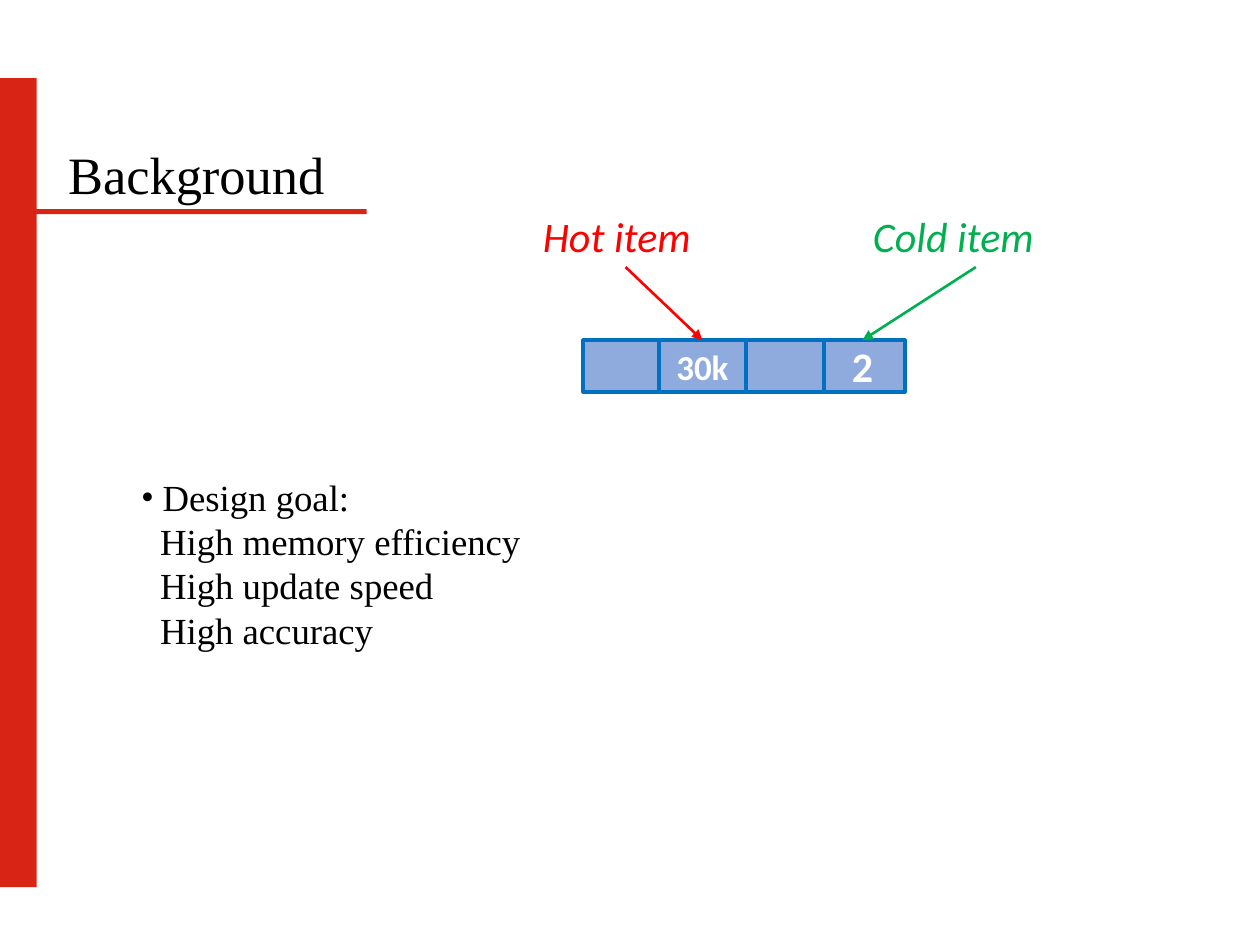
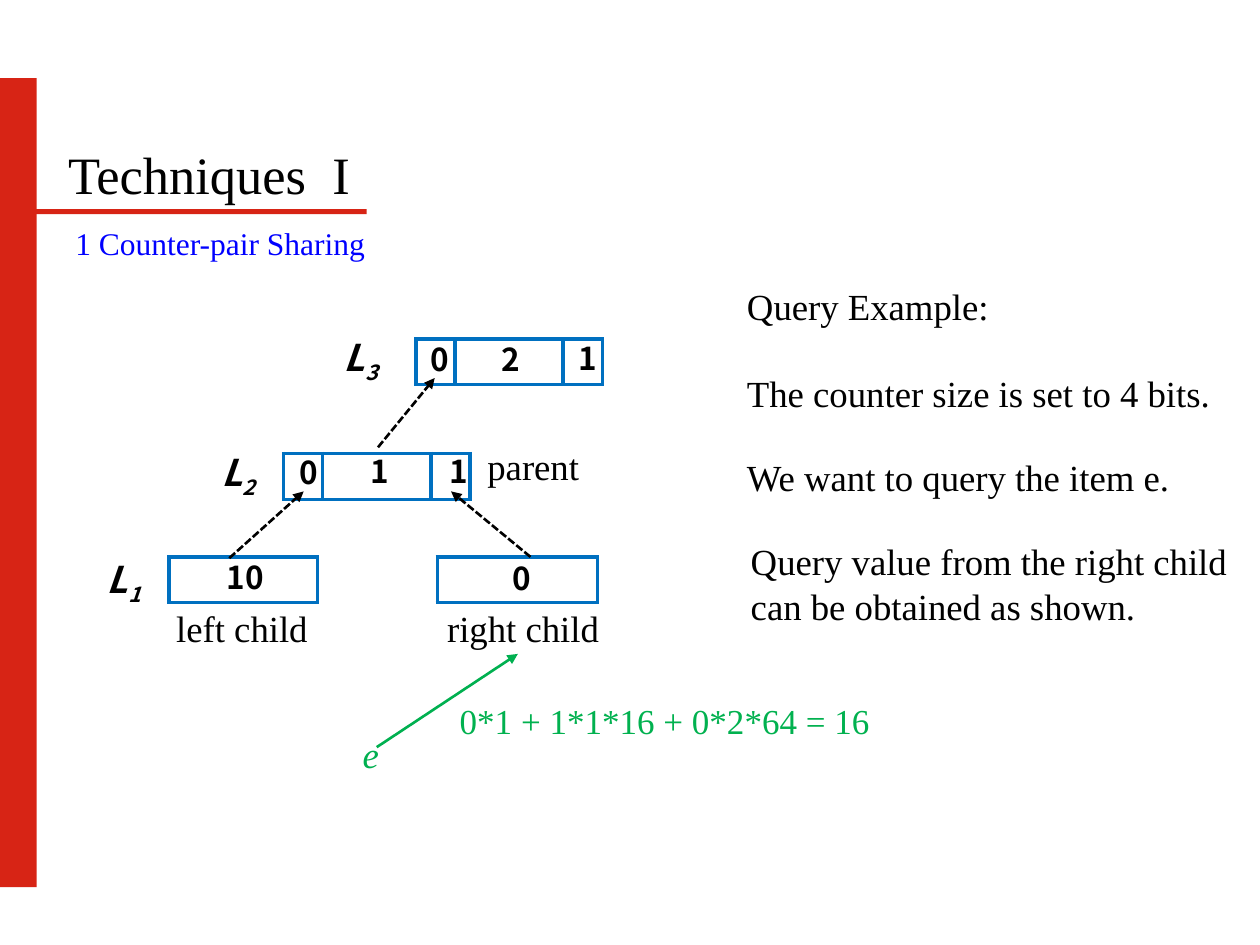
from dataclasses import dataclass
from itertools import accumulate
from lxml.etree import SubElement
from pptx import Presentation
from pptx.dml.color import RGBColor
from pptx.enum.dml import MSO_LINE
from pptx.enum.shapes import MSO_CONNECTOR, MSO_SHAPE
from pptx.enum.text import MSO_ANCHOR, MSO_AUTO_SIZE, PP_ALIGN
from pptx.oxml.ns import qn
from pptx.util import Inches, Pt

RED = RGBColor(0xD7, 0x24, 0x15)
HOT = RGBColor(0xFF, 0x00, 0x00)
GREEN = RGBColor(0x00, 0xB0, 0x50)
LIME = RGBColor(0x01, 0xB1, 0x4F)
BLUE = RGBColor(0x00, 0x70, 0xC0)
LINK = RGBColor(0x00, 0x00, 0xFF)
PALE = RGBColor(0x8F, 0xAA, 0xDC)
BLACK = RGBColor(0x00, 0x00, 0x00)
WHITE = RGBColor(0xFF, 0xFF, 0xFF)

SERIF = "Times New Roman"
SANS = "Calibri"
NOTO = "Noto Sans CJK SC"


@dataclass(frozen=True)
class Style:
    face: str
    size: float
    color: RGBColor = BLACK
    bold: bool = False
    italic: bool = False


@dataclass(frozen=True)
class Label:
    text: str
    left: float
    top: float
    width: float
    height: float = 0.45


@dataclass(frozen=True)
class Slot:
    left: float
    width: float
    text: str = ""
    size: float = 24


@dataclass(frozen=True)
class Row:
    left: float
    top: float
    widths: tuple


@dataclass(frozen=True)
class Arrow:
    start: tuple
    end: tuple


HEAD = Style(SERIF, 30)
PLAIN = Style(SERIF, 21)
DIGIT = Style(NOTO, 18, bold=True)
LEVEL = Style(NOTO, 21, bold=True, italic=True)

GOALS = ("Design goal:", "High memory efficiency", "High update speed", "High accuracy")
SLOTS = (Slot(4.63, 0.6), Slot(5.23, 0.69, "30k", 20), Slot(5.87, 0.67), Slot(6.51, 0.67, "2"))

PAIR = (0.31, 0.86, 0.31)
ROWS = (
    Row(3.3, 2.69, PAIR),
    Row(2.25, 3.6, PAIR),
    Row(1.34, 4.42, (1.18,)),
    Row(3.47, 4.42, (1.27,)),
)
DIGITS = (
    Label("0", 3.32, 2.65, 0.32, 0.4),
    Label("2", 3.88, 2.65, 0.32, 0.4),
    Label("1", 4.49, 2.64, 0.32, 0.4),
    Label("0", 2.28, 3.55, 0.32, 0.4),
    Label("1", 2.84, 3.54, 0.32, 0.4),
    Label("1", 3.47, 3.54, 0.32, 0.4),
    Label("10", 1.7, 4.38, 0.56, 0.4),
    Label("0", 3.97, 4.39, 0.32, 0.4),
)
LEVELS = (
    Label("3", 2.63, 2.61, 0.71),
    Label("2", 1.66, 3.52, 0.58),
    Label("1", 0.75, 4.37, 0.51),
)
NOTES = (
    Label("parent", 3.77, 3.47, 1.03),
    Label("left child", 1.3, 4.76, 1.47),
    Label("right child", 3.45, 4.76, 1.53),
    Label("Query Example:\nThe counter size is set to 4 bits.", 5.83, 2.2, 3.91, 1.16),
    Label("We want to query the item e.", 5.83, 3.56, 3.76),
    Label("Query value from the right child can be obtained as shown.", 5.86, 4.23, 4.21, 0.81),
)
LINKS = (
    Arrow((1.82, 4.43), (2.41, 3.9)),
    Arrow((4.21, 4.42), (3.58, 3.9)),
    Arrow((3, 3.55), (3.45, 3)),
)


def paint(para, style: Style) -> None:
    font = para.font
    font.name, font.size = style.face, Pt(style.size)
    font.bold, font.italic = style.bold, style.italic
    font.color.rgb = style.color


def place(shape, left: float, top: float, width: float, height: float) -> None:
    shape.left, shape.top = Inches(left), Inches(top)
    shape.width, shape.height = Inches(width), Inches(height)


def rect(slide, left: float, top: float, width: float, height: float, fill: RGBColor):
    shape = slide.shapes.add_shape(
        MSO_SHAPE.RECTANGLE, Inches(left), Inches(top), Inches(width), Inches(height))
    shape.shadow.inherit = False
    shape.fill.solid()
    shape.fill.fore_color.rgb = fill
    shape.line.fill.background()
    return shape


def write(slide, label: Label, style: Style, gap: float = 0):
    box = slide.shapes.add_textbox(
        Inches(label.left), Inches(label.top), Inches(label.width), Inches(label.height))
    frame = box.text_frame
    frame.word_wrap = True
    frame.text = label.text
    for para in frame.paragraphs:
        paint(para, style)
    for para in frame.paragraphs[1:]:
        para.space_before = Pt(gap)
    return box


def level(slide, label: Label) -> None:
    para = write(slide, label, LEVEL).text_frame.paragraphs[0]
    para.text = "L"
    run = para.add_run()
    run.text = label.text
    run.font._element.set("baseline", "-25000")


def arrow(slide, start: tuple, end: tuple, color: RGBColor, dash: bool = False):
    line = slide.shapes.add_connector(
        MSO_CONNECTOR.STRAIGHT, *(Inches(v) for v in (*start, *end)))
    line.line.color.rgb = color
    line.line.width = Pt(1.5)
    if dash:
        line.line.dash_style = MSO_LINE.SQUARE_DOT
    SubElement(line.line._get_or_add_ln(), qn("a:tailEnd"), type="triangle")
    SubElement(line._element.spPr, qn("a:effectLst"))
    return line


def edge(cell) -> None:
    props = cell._tc.get_or_add_tcPr()
    for side in ("lnL", "lnR", "lnT", "lnB"):
        line = SubElement(props, qn(f"a:{side}"), w=str(Pt(2.25)))
        fill = SubElement(line, qn("a:solidFill"))
        SubElement(fill, qn("a:srgbClr"), val=str(BLUE))


def grid(slide, row: Row) -> None:
    lefts = accumulate(row.widths[:-1], initial=row.left)
    for left, width in zip(lefts, row.widths):
        table = slide.shapes.add_table(
            1, 1, Inches(left), Inches(row.top), Inches(width), Inches(0.31)).table
        table.first_row = table.horz_banding = False
        cell = table.cell(0, 0)
        cell.margin_top = cell.margin_bottom = 0
        paint(cell.text_frame.paragraphs[0], DIGIT)
        edge(cell)
        cell.fill.solid()
        cell.fill.fore_color.rgb = WHITE


def start(deck, layout: int, title: str, width: float):
    slide = deck.slides.add_slide(deck.slide_layouts[layout])
    rect(slide, 0, 0.62, 0.29, 6.42, RED)
    rect(slide, 0, 1.66, 2.91, 0.04, RED)
    head = slide.shapes.title
    place(head, 0.44, 1.08, width, 0.61)
    frame = head.text_frame
    frame.text = title
    frame.auto_size = MSO_AUTO_SIZE.NONE
    frame.vertical_anchor = MSO_ANCHOR.TOP
    para = frame.paragraphs[0]
    para.alignment = PP_ALIGN.LEFT
    paint(para, HEAD)
    return slide


def goals(slide) -> None:
    body = slide.placeholders[1]
    place(body, 1.02, 3.72, 6.18, 1.51)
    frame = body.text_frame
    frame.text = "\n".join(GOALS)
    frame.auto_size = MSO_AUTO_SIZE.NONE
    for num, para in enumerate(frame.paragraphs):
        paint(para, PLAIN)
        para.space_before = Pt(0)
        props = para._p.get_or_add_pPr()
        indent = Inches(0.15 if num else 0.17)
        props.set("marL", str(indent))
        props.set("indent", str(0 if num else -indent))
        if num:
            SubElement(props, qn("a:buNone"))
        else:
            SubElement(props, qn("a:buFont"), typeface=SERIF)
            SubElement(props, qn("a:buChar"), char="•")


def intro(deck) -> None:
    slide = start(deck, 1, "Background", 2.43)
    goals(slide)
    cells = {}
    for slot in reversed(SLOTS):
        cell = rect(slide, slot.left, 2.7, slot.width, 0.41, PALE)
        cell.line.color.rgb = BLUE
        cell.line.width = Pt(2.25)
        if slot.text:
            frame = cell.text_frame
            frame.text = slot.text
            frame.vertical_anchor = MSO_ANCHOR.MIDDLE
            frame.paragraphs[0].alignment = PP_ALIGN.CENTER
            paint(frame.paragraphs[0], Style(SANS, slot.size, WHITE, bold=True))
            cells[slot.text] = cell
    for label, color, key in (
        (Label("Hot item", 4.21, 1.62, 1.51, 0.5), HOT, "30k"),
        (Label("Cold item", 6.83, 1.62, 1.83, 0.5), GREEN, "2"),
    ):
        box = write(slide, label, Style(SANS, 24, color, italic=True))
        line = arrow(slide, (0, 0), (1, 1), color)
        line.begin_connect(box, 2)
        line.end_connect(cells[key], 0)


def share(deck) -> None:
    slide = start(deck, 5, "Techniques  I", 2.85)
    for row in ROWS:
        grid(slide, row)
    for link in LINKS:
        arrow(slide, link.start, link.end, BLACK, dash=True)
    for label in NOTES:
        write(slide, label, PLAIN, gap=25)
    for label in DIGITS:
        write(slide, label, DIGIT)
    for label in LEVELS:
        level(slide, label)
    write(slide, Label("e", 2.78, 5.76, 0.24), Style(SERIF, 21, GREEN, italic=True))
    arrow(slide, (2.99, 5.93), (4.11, 5.19), GREEN)
    write(slide, Label("0*1 + 1*1*16 + 0*2*64 = 16", 3.55, 5.5, 3.82, 0.44), Style(SERIF, 20, LIME))
    write(slide, Label("1 Counter-pair Sharing", 0.5, 1.73, 2.8, 0.4), Style(SERIF, 18, LINK))


def main() -> None:
    deck = Presentation()
    deck.slide_width, deck.slide_height = Inches(10), Inches(7.5)
    intro(deck)
    share(deck)
    deck.save("out.pptx")


if __name__ == "__main__":
    main()
